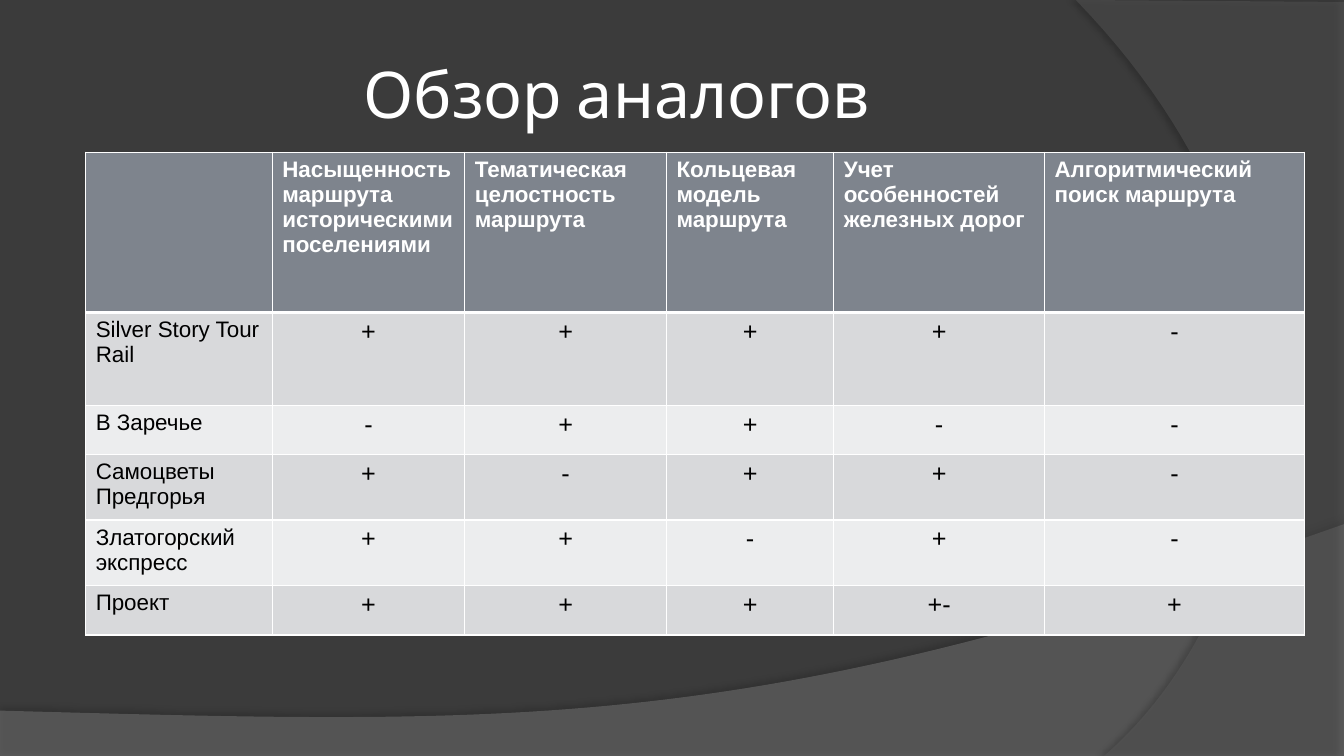
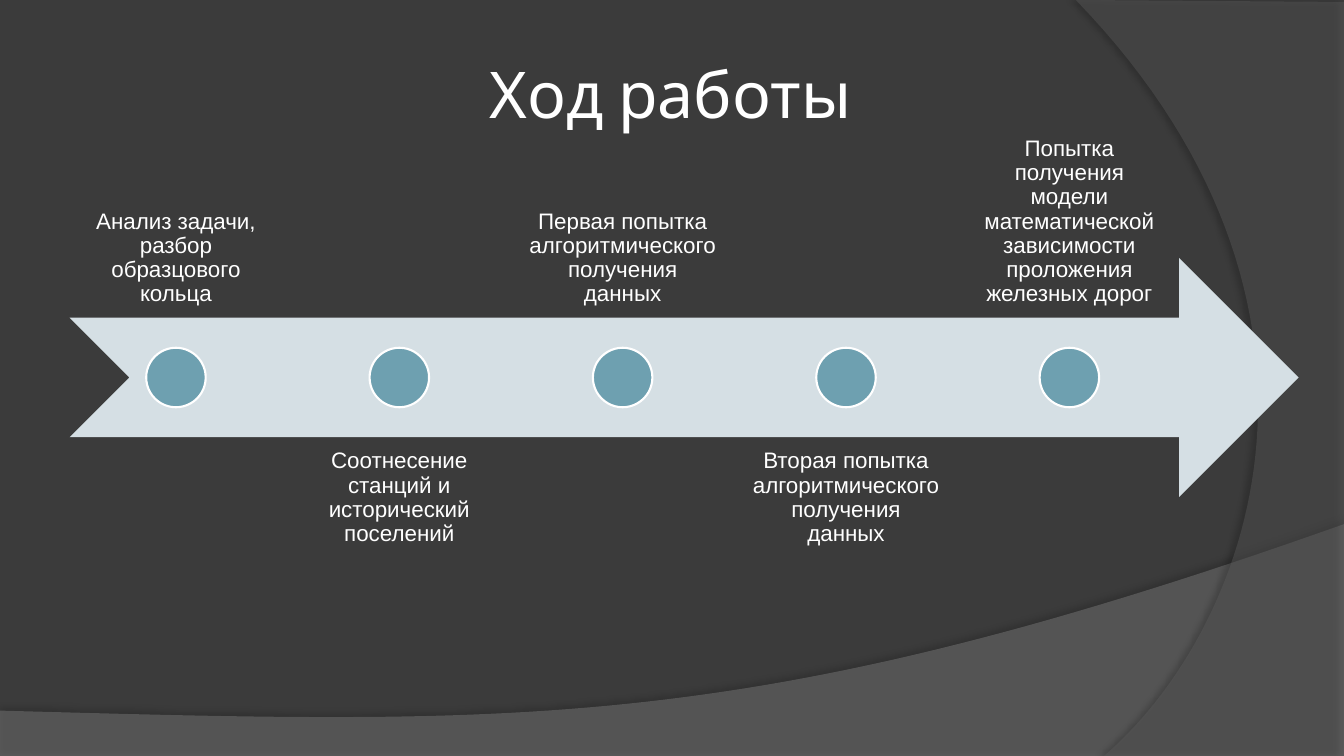
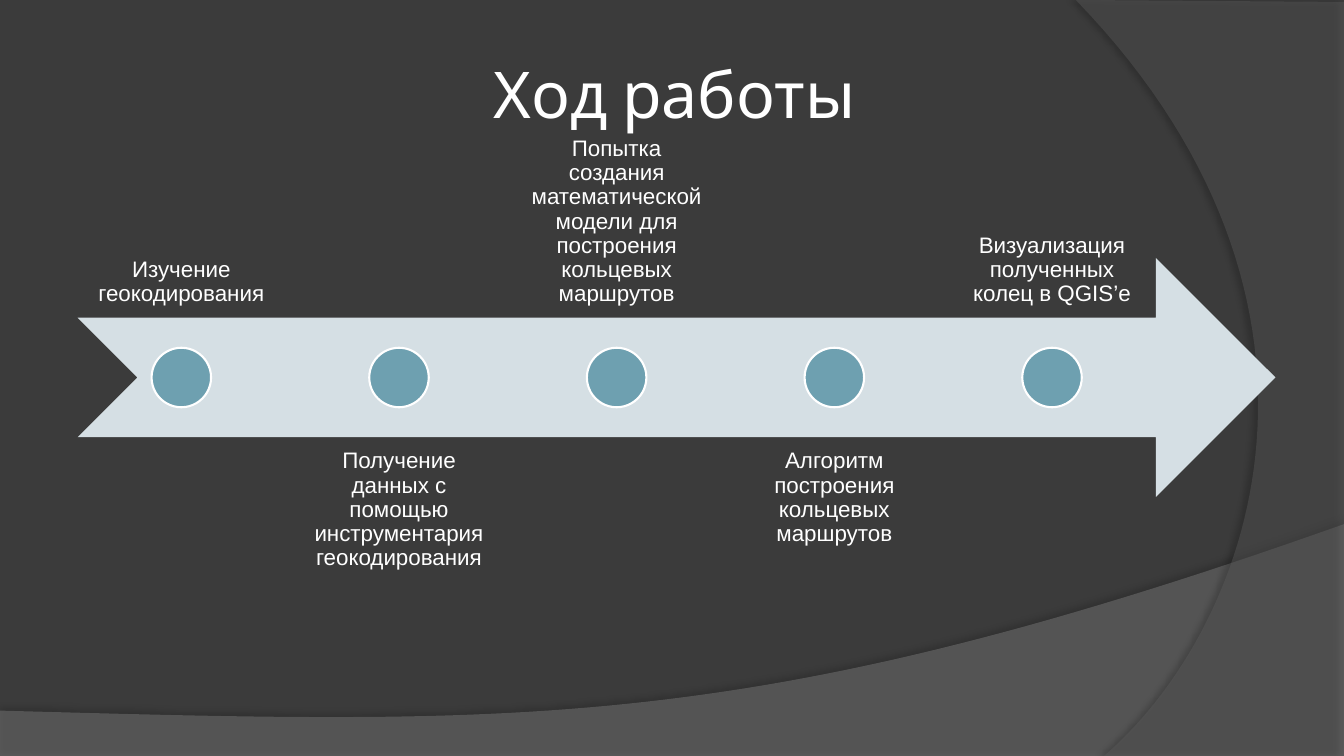
from lxml import etree
from pptx import Presentation
from pptx.dml.color import RGBColor
from pptx.enum.shapes import MSO_SHAPE
from pptx.enum.text import MSO_ANCHOR, MSO_AUTO_SIZE, PP_ALIGN
from pptx.oxml.ns import qn
from pptx.util import Emu, Pt

# Shared look
PX = 9144  # EMU in one px, 100 px to the inch
WIDE, HIGH = 1333, 750
BODY, HEAD = "Arial", "Cabin"
HEX = {
    "back": "3B3B3B", "wave": "7F7F7F", "side": "5E5E5E",
    "white": "FFFFFF", "black": "000000",
    "head": "7E848D", "odd": "D8D9DB", "even": "ECEDEE",
    "arrow": "D5DFE4", "dot": "6EA0B0",
}
LEFT, MID = PP_ALIGN.LEFT, PP_ALIGN.CENTER
TOP, CORE, LOW = MSO_ANCHOR.TOP, MSO_ANCHOR.MIDDLE, MSO_ANCHOR.BOTTOM
ARROW, OVAL = MSO_SHAPE.NOTCHED_RIGHT_ARROW, MSO_SHAPE.OVAL
FIXED = MSO_AUTO_SIZE.NONE

# Content
COLS = [185, 191, 200, 166, 209, 258]
ROWS = [159, 92, 49, 65, 65, 49]
CELLS = [
    ["", "Насыщенность маршрута историческими поселениями",
     "Тематическая целостность маршрута", "Кольцевая модель маршрута",
     "Учет особенностей железных дорог", "Алгоритмический поиск маршрута"],
    ["Silver Story Tour Rail", "+", "+", "+", "+", "-"],
    ["В Заречье", "-", "+", "+", "-", "-"],
    ["Самоцветы Предгорья", "+", "-", "+", "+", "-"],
    ["Златогорский экспресс", "+", "+", "-", "+", "-"],
    ["Проект", "+", "+", "+", "+-", "+"],
]
FIRST = [
    "Анализ задачи, разбор образцового кольца",
    "Соотнесение станций и исторический поселений",
    "Первая попытка алгоритмического получения данных",
    "Вторая попытка алгоритмического получения данных",
    "Попытка получения модели математической зависимости проложения "
    "железных дорог",
]
SECOND = [
    "Изучение геокодирования",
    "Получение данных с помощью инструментария геокодирования",
    "Попытка создания математической модели для построения кольцевых "
    "маршрутов",
    "Алгоритм построения кольцевых маршрутов",
    "Визуализация полученных колец в QGIS’е",
]


def rgb(name):
    return RGBColor.from_string(HEX[name])


def box(*sides):
    return [Emu(round(side * PX)) for side in sides]


def put(frame, text, size=16, font=BODY, color="white", bold=False,
        align=LEFT, space=None):
    para = frame.paragraphs[0]
    para.text = text
    para.alignment = align
    para.line_spacing = space
    face = para.font
    face.size, face.name, face.bold = Pt(size), font, bold
    face.color.rgb = rgb(color)


def fit(frame, inset, anchor):
    frame.word_wrap = True
    frame.auto_size = FIXED
    frame.vertical_anchor = anchor
    frame.margin_left = frame.margin_right = inset * PX
    frame.margin_top = frame.margin_bottom = inset * PX


# Backdrop, kept in the layout
def bend(a, b, c, d, steps=60):
    """Points of a cubic curve from a to d, without a itself."""
    for step in range(1, steps + 1):
        t = step / steps
        u = 1 - t
        yield tuple(u**3 * p + 3 * u * u * t * q + 3 * u * t * t * r + t**3 * s
                    for p, q, r, s in zip(a, b, c, d))


def band(slide, layout, rank, points, color, alpha, shade):
    spots = [(x * PX, y * PX) for x, y in points]
    pen = slide.shapes.build_freeform(*spots[0], scale=1.0)
    pen.add_line_segments(spots[1:], close=True)
    shape = pen.convert_to_shape()
    shape.fill.solid()
    shape.fill.fore_color.rgb = rgb(color)
    shape.line.fill.background()
    shape.shadow.inherit = False
    props = shape.element.spPr
    tint = props.find(".//" + qn("a:srgbClr"))
    etree.SubElement(tint, qn("a:alpha"), val=str(alpha * 1000))
    dark, dist, turn = shade
    cast = etree.SubElement(
        props.find(qn("a:effectLst")), qn("a:outerShdw"),
        blurRad=str(Pt(4)), dist=str(Pt(dist)), dir=str(turn * 60000),
        algn="ctr", rotWithShape="0")
    tone = etree.SubElement(cast, qn("a:srgbClr"), val=HEX["black"])
    etree.SubElement(tone, qn("a:alpha"), val=str(dark * 1000))
    shape.element.nvSpPr.cNvPr.set("id", str(100 + rank))
    layout.shapes.element.insert(2 + rank, shape.element)


def scene(slide, layout):
    fill = layout.background.fill
    fill.solid()
    fill.fore_color.rgb = rgb("back")
    wave = [(0, 705), (0, 751), (WIDE, 751), (WIDE, 520)]
    wave += bend(wave[-1], (745, 729), (521, 719), wave[0])
    band(slide, layout, 0, wave, "wave", 45, (35, 3.5, 270))
    side = [(WIDE, 2), (WIDE, HIGH), (1095, HIGH)]
    side += bend(side[-1], (1246, 619), (1357, 300), (1067, 0))
    band(slide, layout, 1, side, "side", 40, (45, 4, 180))


def page(deck, layout, text, width):
    slide = deck.slides.add_slide(layout)
    title = slide.shapes.title
    title.left, title.top, title.width, title.height = box(67, 30, width, 125)
    fit(title.text_frame, 5, CORE)
    put(title.text_frame, text, size=46, font=HEAD, align=MID)
    return slide


# Table
def edge(cell, **sides):
    props = cell._tc.get_or_add_tcPr()
    for side, width in sides.items():
        line = etree.SubElement(props, qn("a:ln" + side), w=str(Pt(width)))
        fill = etree.SubElement(line, qn("a:solidFill"))
        etree.SubElement(fill, qn("a:srgbClr"), val=HEX["white"])


def grid(slide, x, y):
    table = slide.shapes.add_table(
        len(ROWS), len(COLS), *box(x, y, sum(COLS), sum(ROWS))).table
    table.horz_banding = False
    for col, width in zip(table.columns, COLS):
        col.width = width * PX
    for i, (row, height) in enumerate(zip(table.rows, ROWS)):
        row.height = height * PX
        top = i == 0
        for j, text in enumerate(CELLS[i]):
            cell = table.cell(i, j)
            edge(cell, L=1, R=1, T=3 if i == 1 else 1, B=3 if top else 1)
            cell.fill.solid()
            cell.fill.fore_color.rgb = rgb(
                "head" if top else "odd" if i % 2 else "even")
            mark = not top and j > 0
            put(cell.text_frame, text, size=18 if mark else 16, bold=top,
                color="white" if top else "black", align=MID if mark else LEFT)


# Timeline
def form(slide, kind, sides, color, rim=None):
    shape = slide.shapes.add_shape(kind, *box(*sides))
    shape.shadow.inherit = False
    shape.fill.solid()
    shape.fill.fore_color.rgb = rgb(color)
    if rim:
        shape.line.color.rgb = rgb("white")
        shape.line.width = Pt(rim)
    else:
        shape.line.fill.background()


def label(slide, text, sides, anchor):
    frame = slide.shapes.add_textbox(*box(*sides)).text_frame
    fit(frame, 12, anchor)
    put(frame, text, align=MID, space=0.9)


def track(slide, steps, x, span):
    tall, dot = 237, 59
    form(slide, ARROW, (x, 256, span, tall), "arrow")
    # Labels fill 90 % of the arrow, with gaps of 5 % of a label
    count = len(steps)
    wide = 0.9 * span / (count + 0.05 * (count - 1))
    for i, text in enumerate(steps):
        left = x + i * wide * 1.05
        above = i % 2 == 0
        label(slide, text, (left, 79 if above else 434, wide, tall),
              LOW if above else TOP)
        form(slide, OVAL, (left + (wide - dot) / 2, 345, dot, dot), "dot", 1.5)


def main():
    deck = Presentation()
    deck.slide_width, deck.slide_height = box(WIDE, HIGH)
    layout = deck.slide_layouts[5]

    slide = page(deck, layout, "Обзор аналогов", 1089)
    scene(slide, layout)
    grid(slide, 85, 151)

    slide = page(deck, layout, "Ход работы", 1196)
    track(slide, FIRST, 69, 1219)

    slide = page(deck, layout, "Ход работы", 1204)
    track(slide, SECOND, 77, 1188)

    deck.save("out.pptx")


if __name__ == "__main__":
    main()
